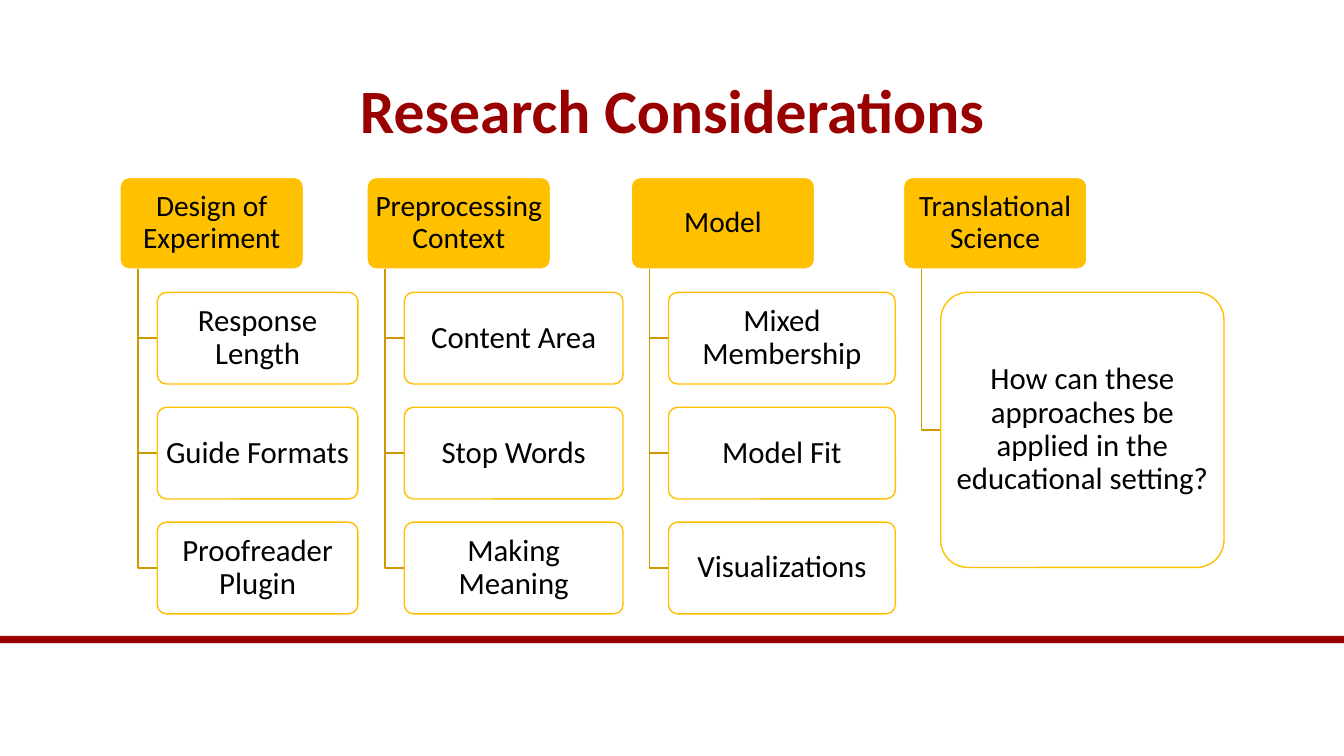
from pptx import Presentation
from pptx.dml.color import RGBColor
from pptx.enum.shapes import MSO_SHAPE
from pptx.enum.text import MSO_ANCHOR, PP_ALIGN
from pptx.oxml.ns import qn
from pptx.util import Inches, Pt
from lxml.etree import SubElement

COLORS = {"red": "990000", "gold": "FFC000", "dark": "CC9A00",
          "white": "FFFFFF", "black": "000000"}
HIGH, GAP, INDENT = 0.91, 0.23, 0.18
COLUMNS = [
    (1.19, 1.99, 1, "Design of Experiment",
     ["Response Length", "Guide Formats", "Proofreader Plugin"]),
    (3.64, 2.17, 1, "Preprocessing Context",
     ["Content Area", "Stop Words", "Making Meaning"]),
    (6.26, 2.25, 1, "Model",
     ["Mixed Membership", "Model Fit", "Visualizations"]),
    (8.96, 2.81, 3, "Translational Science",
     ["How can these approaches be applied in the educational setting?"]),
]


def color(name):
    """Return the named colour."""
    return RGBColor.from_string(COLORS[name])


def apply(target, values):
    """Set each attribute of target from a dict."""
    for name, value in values.items():
        setattr(target, name, value)


def write(shape, text, size, tone, side, edge, bold=False):
    """Put one centred paragraph in the middle of a shape."""
    frame = shape.text_frame
    apply(frame, {"word_wrap": True, "vertical_anchor": MSO_ANCHOR.MIDDLE,
                  "margin_left": Inches(side), "margin_right": Inches(side),
                  "margin_top": Inches(edge), "margin_bottom": Inches(edge)})
    line = frame.paragraphs[0]
    apply(line, {"text": text, "alignment": PP_ALIGN.CENTER, "line_spacing": 0.9})
    apply(line.font, {"name": "Calibri", "size": Pt(size), "bold": bold})
    line.font.color.rgb = color(tone)


def title(slide, box, text):
    """Write the slide title in the given box."""
    shape = slide.shapes.add_textbox(*map(Inches, box))
    write(shape, text, 44, "red", 0.1, 0.05, True)


def bar(slide, box):
    """Draw the red band across the slide."""
    shape = slide.shapes.add_shape(MSO_SHAPE.RECTANGLE, *map(Inches, box))
    shape.shadow.inherit = False
    shape.fill.solid()
    shape.fill.fore_color.rgb = color("red")
    shape.line.fill.background()


def card(slide, box, text, size, fill, edge, side):
    """Draw a rounded card with its text."""
    shape = slide.shapes.add_shape(MSO_SHAPE.ROUNDED_RECTANGLE, *map(Inches, box))
    shape.adjustments[0] = 0.1
    shape.shadow.inherit = False
    shape.fill.solid()
    shape.fill.fore_color.rgb = color(fill)
    shape.line.color.rgb = color(edge)
    shape.line.width = Pt(1)
    write(shape, text, size, "black", side, 0.03)
    return shape


def fade(shape, share):
    """Make the fill of a shape partly clear."""
    tint = shape.fill._xPr.find(qn("a:solidFill"))[0]
    SubElement(tint, qn("a:alpha")).set("val", str(share * 1000))


def elbow(slide, left, top, right, end):
    """Draw a line down and then right to a card."""
    pen = slide.shapes.build_freeform(Inches(left), Inches(top))
    pen.add_line_segments([(Inches(left), Inches(end)),
                           (Inches(right), Inches(end))], close=False)
    shape = pen.convert_to_shape()
    shape.shadow.inherit = False
    shape.fill.background()
    shape.line.color.rgb = color("dark")
    shape.line.width = Pt(1)


def column(slide, box, span, head, items):
    """Draw a heading with its cards hung below it."""
    left, top, width = box
    card(slide, (left, top, 1.82, HIGH), head, 21, "gold", "white", 0.04)
    stem, start, base = left + INDENT, left + 2 * INDENT + 0.01, top + HIGH
    tall = span * HIGH
    for row, item in enumerate(items):
        down = base + GAP + row * (tall + GAP)
        elbow(slide, stem, base, start, down + tall / 2)
        shape = card(slide, (start, down, width, tall), item, 22,
                     "white", "gold", 0.05)
        fade(shape, 90)


def main():
    """Build the slide and save it."""
    deck = Presentation()
    apply(deck, {"slide_width": Inches(13.33), "slide_height": Inches(7.5)})
    slide = deck.slides.add_slide(deck.slide_layouts[6])
    bar(slide, (0, 6.31, 13.33, 0.07))
    title(slide, (0.92, 0.4, 11.5, 1.45), "Research Considerations")
    for left, width, span, head, items in COLUMNS:
        column(slide, (left, 1.76, width), span, head, items)
    deck.save("out.pptx")


if __name__ == "__main__":
    main()
